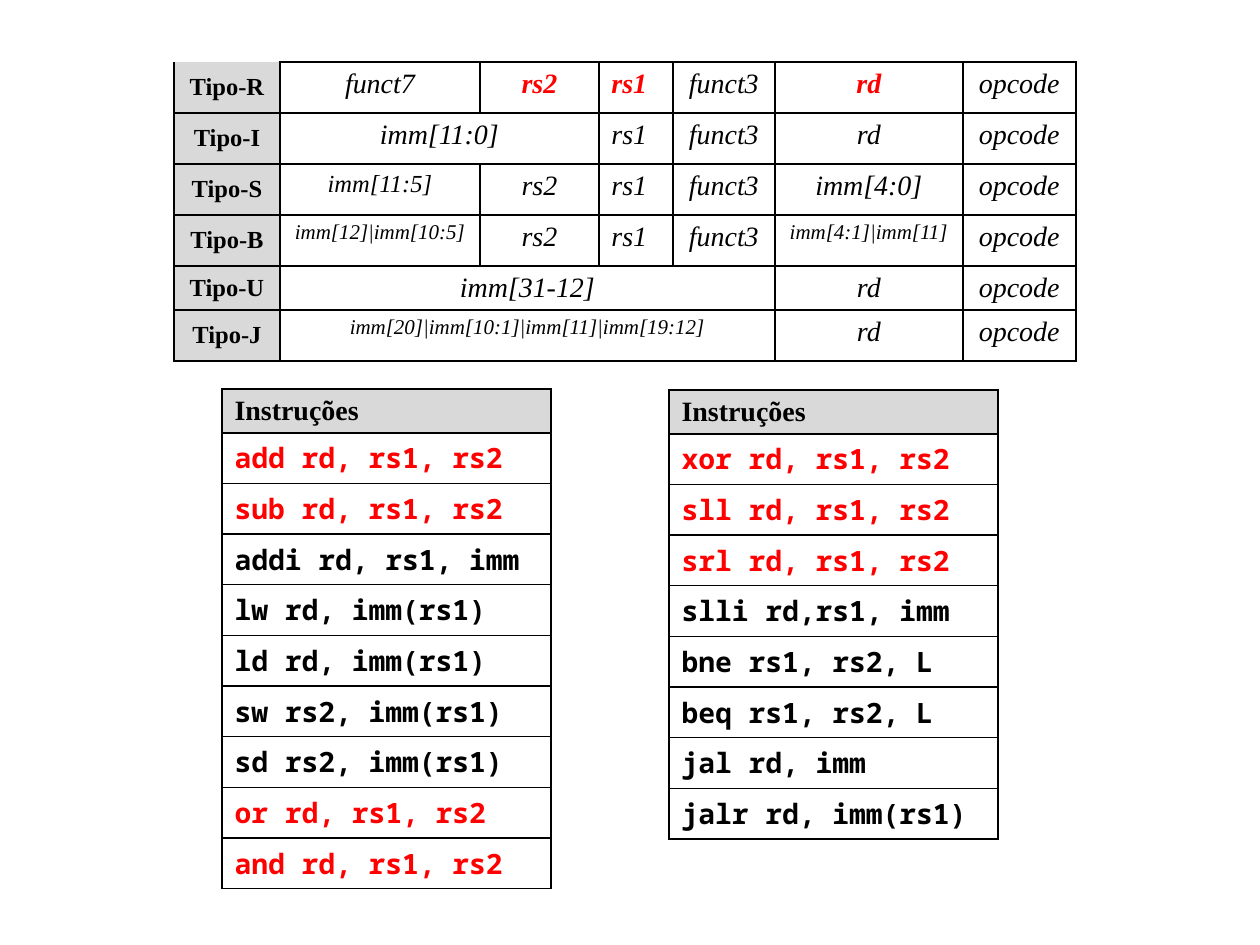
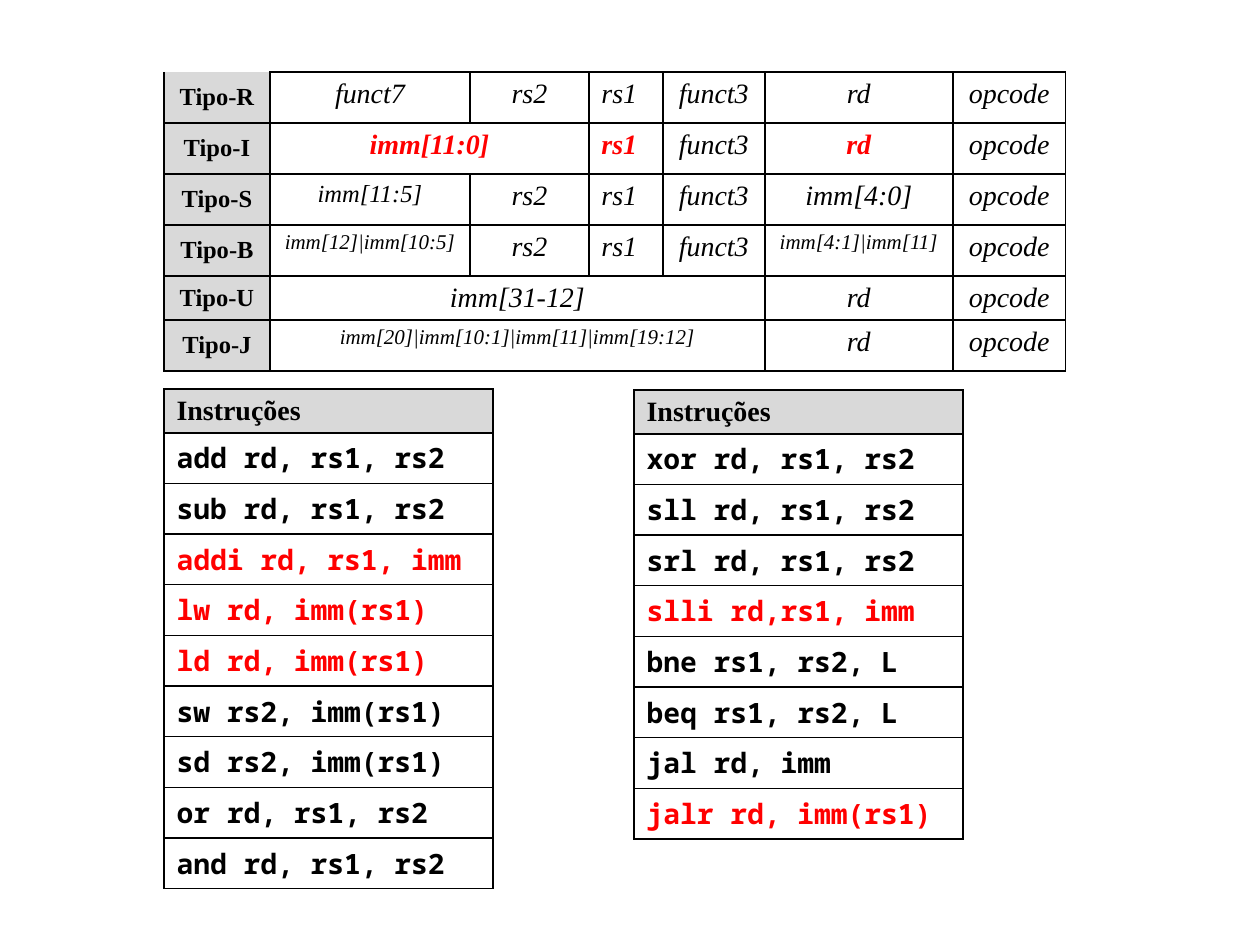
from dataclasses import dataclass
from pptx import Presentation
from pptx import util as u
from pptx.dml.color import RGBColor
from pptx.enum import text as t
from pptx.oxml import parse_xml
from pptx.oxml.ns import nsdecls


@dataclass(frozen=True)
class Theme:
    ink: str = "000000"
    red: str = "FF0000"
    grey: str = "D9D9D9"
    serif: str = "Times New Roman"
    mono: str = "Noto Sans Mono"
    big: int = 16
    mid: int = 14
    small: int = 12


T = Theme()
PPI = 126  # px per inch
WIDE = 329  # width of a code table
HEAD, LINE = 43, 50  # row heights of a code table
COLS = [106, 200, 119, 74, 102, 188, 113]
ROWS = [51, 51, 51, 51, 44, 51]

# Instruction formats: fields as (text, columns spanned)
FORMS = {
    "R": [("funct7", 1), ("rs2", 1), ("rs1", 1), ("funct3", 1), ("rd", 1), ("opcode", 1)],
    "I": [("imm[11:0]", 2), ("rs1", 1), ("funct3", 1), ("rd", 1), ("opcode", 1)],
    "S": [("imm[11:5]", 1), ("rs2", 1), ("rs1", 1), ("funct3", 1), ("imm[4:0]", 1), ("opcode", 1)],
    "B": [("imm[12]|imm[10:5]", 1), ("rs2", 1), ("rs1", 1), ("funct3", 1),
          ("imm[4:1]|imm[11]", 1), ("opcode", 1)],
    "U": [("imm[31-12]", 4), ("rd", 1), ("opcode", 1)],
    "J": [("imm[20]|imm[10:1]|imm[11]|imm[19:12]", 4), ("rd", 1), ("opcode", 1)],
}
FIXED = {"funct7", "funct3", "opcode"}  # fields that are no operands

# Instructions with their format
LEFT = [("add rd, rs1, rs2", "R"), ("sub rd, rs1, rs2", "R"), ("addi rd, rs1, imm", "I"),
        ("lw rd, imm(rs1)", "I"), ("ld rd, imm(rs1)", "I"), ("sw rs2, imm(rs1)", "S"),
        ("sd rs2, imm(rs1)", "S"), ("or rd, rs1, rs2", "R"), ("and rd, rs1, rs2", "R")]
RIGHT = [("xor rd, rs1, rs2", "R"), ("sll rd, rs1, rs2", "R"), ("srl rd, rs1, rs2", "R"),
         ("slli rd,rs1, imm", "I"), ("bne rs1, rs2, L", "B"), ("beq rs1, rs2, L", "B"),
         ("jal rd, imm", "J"), ("jalr rd, imm(rs1)", "I")]


def px(n):
    return u.Emu(round(n * 914400 / PPI))


def write(cell, words, size=T.big, font=T.serif, color=T.ink, bold=False,
          italic=False, align=t.PP_ALIGN.LEFT, anchor=t.MSO_ANCHOR.TOP):
    cell.vertical_anchor = anchor
    para = cell.text_frame.paragraphs[0]
    para.alignment = align
    run = para.add_run()
    run.text = words
    f = run.font
    f.name, f.size, f.bold, f.italic = font, u.Pt(size), bold, italic
    f.color.rgb = RGBColor.from_string(color)


def shade(cell):
    cell.fill.solid()
    cell.fill.fore_color.rgb = RGBColor.from_string(T.grey)


def frame(cell, sides="LRTB"):
    """Draw 1 pt borders on the named sides and none on the others."""
    props = cell._tc.get_or_add_tcPr()
    for side in "LRTB":
        paint = (f'<a:solidFill><a:srgbClr val="{T.ink}"/></a:solidFill>'
                 if side in sides else "<a:noFill/>")
        props.append(parse_xml(f'<a:ln{side} {nsdecls("a")} w="12700">{paint}</a:ln{side}>'))


def grid(slide, x, y, cols, rows):
    """Add a plain table with borders and no fill."""
    table = slide.shapes.add_table(len(rows), len(cols), px(x), px(y),
                                   px(sum(cols)), px(sum(rows))).table
    table.first_row = table.horz_banding = False
    for col, wide in zip(table.columns, cols):
        col.width = px(wide)
    for row, high in zip(table.rows, rows):
        row.height = px(high)
    for cell in table.iter_cells():
        open_top = len(cols) > 1 and cell is not None and cell._tc is table.cell(0, 0)._tc
        frame(cell, "LRB" if open_top else "LRTB")
        cell.fill.background()
    return table


def field_size(name):
    if "|" in name:
        return T.small
    return T.mid if name == "imm[11:5]" else T.big


def form_table(slide, x, y, focus):
    """Show all formats, with the operands of the focus format in red."""
    table = grid(slide, x, y, COLS, ROWS)
    mid = t.PP_ALIGN.CENTER
    for r, (kind, fields) in enumerate(FORMS.items()):
        label = table.cell(r, 0)
        shade(label)
        write(label, f"Tipo-{kind}", size=T.mid, bold=True, align=mid,
              anchor=t.MSO_ANCHOR.MIDDLE)
        c = 1
        for name, span in fields:
            cell = table.cell(r, c)
            if span > 1:
                cell.merge(table.cell(r, c + span - 1))
            hot = kind == focus and name not in FIXED
            write(cell, name, size=field_size(name), italic=True, bold=hot,
                  color=T.red if hot else T.ink,
                  align=t.PP_ALIGN.LEFT if name == "rs1" else mid)
            c += span


def code_table(slide, x, y, lines, focus):
    """List instructions, with those of the focus format in red."""
    table = grid(slide, x, y, [WIDE], [HEAD] + [LINE] * len(lines))
    shade(table.cell(0, 0))
    write(table.cell(0, 0), "Instruções", bold=True)
    for r, (code, kind) in enumerate(lines, 1):
        write(table.cell(r, 0), code, font=T.mono, bold=True,
              color=T.red if kind == focus else T.ink)


def build(deck, focus, form_at, left, right):
    slide = deck.slides.add_slide(deck.slide_layouts[6])
    code_table(slide, left, 389, LEFT, focus)
    form_table(slide, *form_at, focus)
    code_table(slide, right, 390, RIGHT, focus)


def main():
    deck = Presentation()
    deck.slide_width, deck.slide_height = px(1260), px(945)
    build(deck, "R", (174, 62), left=222, right=669)
    build(deck, "I", (164, 72), left=164, right=634)
    deck.save("out.pptx")


if __name__ == "__main__":
    main()
